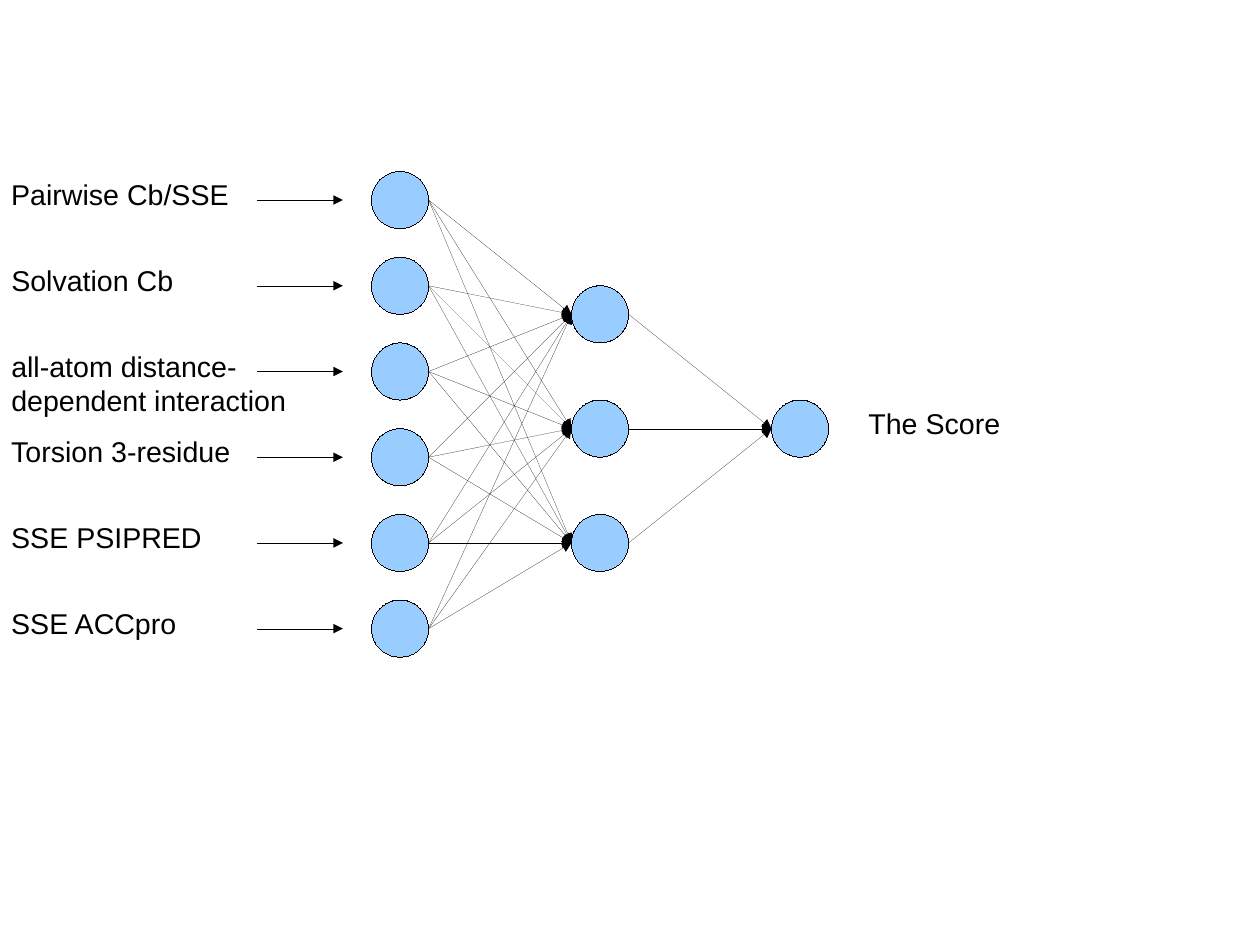
import itertools

import pptx
import pptx.dml.color
import pptx.enum.shapes
import pptx.enum.text
import pptx.oxml
import pptx.oxml.ns
import pptx.util

Pt = pptx.util.Pt

COLOURS = {"node": "99CCFF", "ink": "000000"}
NODE_SIZE = 36
INPUT_LEFT, INPUT_TOP, INPUT_STEP = 234, 108, 54
HIDDEN_LEFT, HIDDEN_TOP, HIDDEN_STEP = 360, 180, 72
SCORE_LEFT, SCORE_TOP = 486, 252
ARROW_START, ARROW_END = 162, 216
ONE_LINE, TWO_LINES = 29.2, 51.8

# Each input label with the width and height of its box
INPUTS = [
    ("Pairwise Cb/SSE", 180, ONE_LINE),
    ("Solvation Cb", 198, ONE_LINE),
    ("all-atom distance-dependent interaction", 198, TWO_LINES),
    ("Torsion 3-residue", 180, ONE_LINE),
    ("SSE PSIPRED", 180, ONE_LINE),
    ("SSE ACCpro", 180, ONE_LINE),
]


def colour(name):
    return pptx.dml.color.RGBColor.from_string(COLOURS[name])


class NetworkSlide:
    """Draws nodes, arrows and labels in one style on one slide."""

    def __init__(self, slide, font="Arial", size=18):
        self.slide = slide
        self.font = font
        self.size = size

    def hairline(self, part):
        """Drop the theme style, whose line is thicker, and draw in ink."""
        part._element.remove(part._element.find(pptx.oxml.ns.qn("p:style")))
        part.line.color.rgb = colour("ink")

    def node(self, left, top):
        """Draw a neuron and return its left and right edge points."""
        neuron = self.slide.shapes.add_shape(
            pptx.enum.shapes.MSO_SHAPE.OVAL,
            Pt(left), Pt(top), Pt(NODE_SIZE), Pt(NODE_SIZE))
        neuron.shadow.inherit = False
        neuron.fill.solid()
        neuron.fill.fore_color.rgb = colour("node")
        self.hairline(neuron)
        middle = top + NODE_SIZE / 2
        return (left, middle), (left + NODE_SIZE, middle)

    def arrow(self, start, end):
        link = self.slide.shapes.add_connector(
            pptx.enum.shapes.MSO_CONNECTOR.STRAIGHT,
            *(Pt(length) for length in (*start, *end)))
        self.hairline(link)
        namespace = pptx.oxml.ns.nsdecls("a")
        link.line._get_or_add_ln().append(pptx.oxml.parse_xml(
            f'<a:tailEnd {namespace} type="triangle"/>'))
        link._element.spPr.append(pptx.oxml.parse_xml(
            f'<a:effectLst {namespace}/>'))

    def label(self, text, left, top, width, height=ONE_LINE):
        frame = self.slide.shapes.add_textbox(
            Pt(left), Pt(top), Pt(width), Pt(height)).text_frame
        frame.word_wrap = True
        frame.auto_size = pptx.enum.text.MSO_AUTO_SIZE.SHAPE_TO_FIT_TEXT
        paragraph = frame.paragraphs[0]
        paragraph.text = text
        paragraph.font.name = self.font
        paragraph.font.size = Pt(self.size)
        paragraph.font.color.rgb = colour("ink")


def main():
    deck = pptx.Presentation()
    deck.slide_width, deck.slide_height = Pt(793.7), Pt(595.28)
    network = NetworkSlide(deck.slides.add_slide(deck.slide_layouts[6]))

    # Layers of neurons
    input_layer = [network.node(INPUT_LEFT, INPUT_TOP + row * INPUT_STEP)
                   for row in range(len(INPUTS))]
    hidden_layer = [network.node(HIDDEN_LEFT, HIDDEN_TOP + row * HIDDEN_STEP)
                    for row in range(3)]
    score_layer = [network.node(SCORE_LEFT, SCORE_TOP)]

    # Full connections between neighbouring layers
    layers = [input_layer, hidden_layer, score_layer]
    for sources, targets in zip(layers, layers[1:]):
        for target, source in itertools.product(targets, sources):
            network.arrow(source[1], target[0])

    # Output label
    network.label("The Score", 540, SCORE_TOP, 108)

    # Input labels and their arrows
    for row, (feature, width, height) in enumerate(INPUTS):
        top = INPUT_TOP + row * INPUT_STEP
        middle = top + NODE_SIZE / 2
        network.label(feature, 0, top, width, height)
        network.arrow((ARROW_START, middle), (ARROW_END, middle))

    deck.save("out.pptx")


if __name__ == "__main__":
    main()
